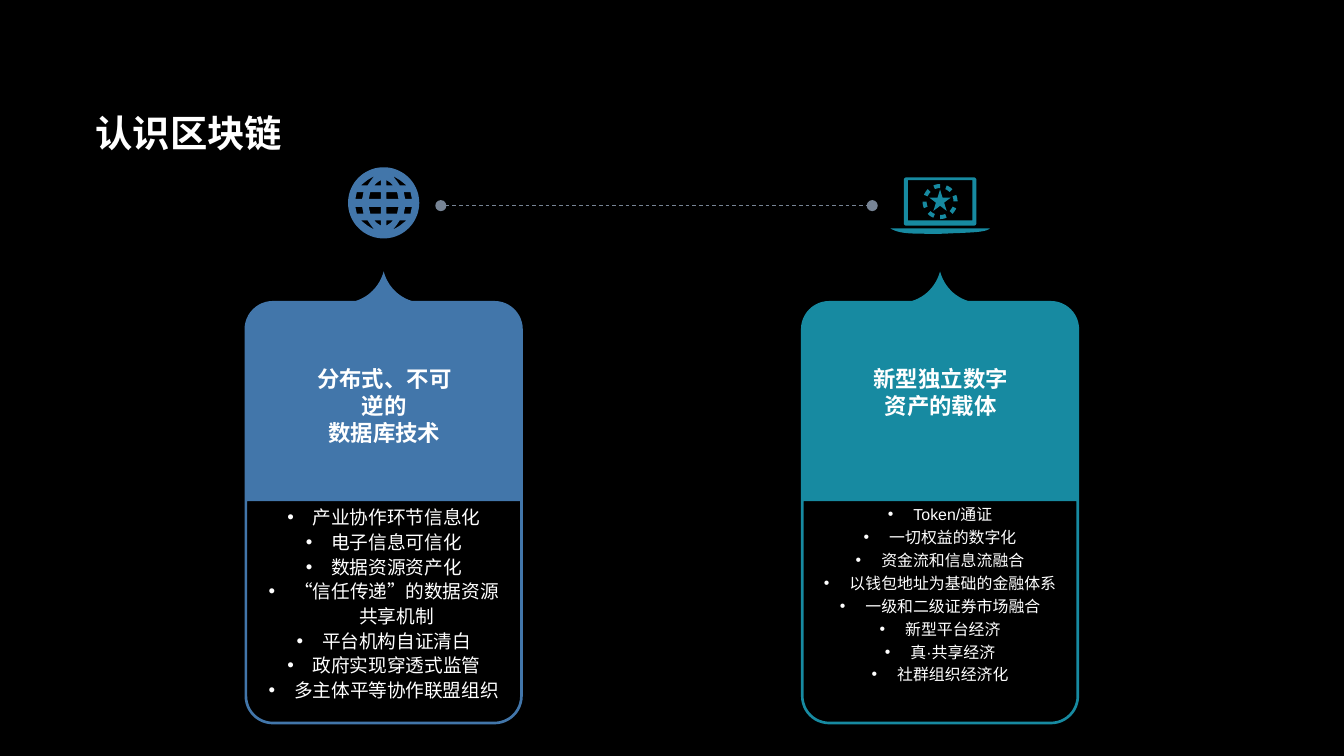
import math
from dataclasses import dataclass

import pptx
import pptx.dml.color
import pptx.enum.dml
import pptx.enum.shapes
import pptx.enum.text
import pptx.oxml.ns
import pptx.util
from lxml import etree

Inches = pptx.util.Inches
Pt = pptx.util.Pt
qn = pptx.oxml.ns.qn
Point = tuple[float, float]
Ring = list[Point]

WHITE, BLUE, TEAL, GREY = "FFFFFF", "4276AA", "178AA1", "778495"
WIDE, TOP, END, SPLIT = 2.07, 2.24, 5.39, 3.73
CENTER = pptx.enum.text.PP_ALIGN.CENTER


@dataclass
class Card:
    left: float
    color: str
    head: str
    items: list[str]
    size: float
    space: float
    drop: float

    @property
    def mid(self) -> float:
        return self.left + WIDE / 2


CARDS = [
    Card(1.82, BLUE, "分布式、不可逆的\n数据库技术",
         ["产业协作环节信息化", "电子信息可信化", "数据资源资产化",
          "“信任传递”的数据资源共享机制", "平台机构自证清白",
          "政府实现穿透式监管", "多主体平等协作联盟组织"], 10, 1.1, 1.73),
    Card(5.96, TEAL, "新型独立数字\n资产的载体",
         ["Token/通证", "一切权益的数字化", "资金流和信息流融合",
          "以钱包地址为基础的金融体系", "一级和二级证券市场融合",
          "新型平台经济", "真·共享经济", "社群组织经济化"], 8.5, 1.2, 1.71),
]

# Upper right quarter of the globe's windows, measured from its centre
PANES: list[Ring] = [
    [(0.02, -0.08), (0.1, -0.08), (0.11, -0.03), (0.02, -0.03)],
    [(0.15, -0.08), (0.2, -0.08), (0.21, -0.03), (0.16, -0.03)],
    [(0.02, -0.17), (0.05, -0.15), (0.07, -0.13), (0.02, -0.13)],
    [(0.07, -0.2), (0.12, -0.17), (0.17, -0.13), (0.12, -0.13), (0.1, -0.16)],
]


def rgb(code: str) -> pptx.dml.color.RGBColor:
    return pptx.dml.color.RGBColor.from_string(code)


def arc(x: float, y: float, r: float, start: float, end: float,
        steps: int = 12) -> Ring:
    """Points on a circle, in degrees clockwise from the right."""
    turns = [math.radians(start + (end - start) * i / steps)
             for i in range(steps + 1)]
    return [(x + r * math.cos(t), y + r * math.sin(t)) for t in turns]


def curve(a: Point, b: Point, c: Point, d: Point, steps: int = 12) -> Ring:
    """Points on a cubic Bezier curve."""
    ring = []
    for i in range(steps + 1):
        t = i / steps
        parts = ((1 - t) ** 3, 3 * t * (1 - t) ** 2, 3 * t * t * (1 - t), t ** 3)
        ring.append(tuple(sum(w * p[k] for w, p in zip(parts, (a, b, c, d)))
                          for k in (0, 1)))
    return ring


def base(x1: float, x2: float, y: float, r: float) -> Ring:
    """Two rounded lower corners, right to left."""
    return arc(x2 - r, y - r, r, 0, 90) + arc(x1 + r, y - r, r, 90, 180)


def crown(x1: float, x2: float, y: float, r: float) -> tuple[Ring, Ring]:
    """The rounded upper corners, left and right."""
    return arc(x1 + r, y + r, r, 180, 270), arc(x2 - r, y + r, r, 270, 360)


def paint(shape, color: str) -> None:
    shape.shadow.inherit = False
    shape.fill.solid()
    shape.fill.fore_color.rgb = rgb(color)
    shape.line.fill.background()


def draw(shapes, rings: list[Ring], color: str):
    """Fill the first ring; later rings are holes."""
    first, *holes = [[(Inches(x), Inches(y)) for x, y in ring] for ring in rings]
    pen = shapes.build_freeform(*first[0])
    pen.add_line_segments(first[1:], close=True)
    for hole in holes:
        pen.move_to(*hole[0])
        pen.add_line_segments(hole[1:], close=True)
    shape = pen.convert_to_shape()
    paint(shape, color)
    return shape


def style(para, size: float, bold: bool = False) -> None:
    for run in para.runs:
        run.font.name = "Arial"
        run.font.size = Pt(size)
        run.font.bold = bold
        run.font.color.rgb = rgb(WHITE)


def inset(frame, left: float, top: float, right: float, low: float) -> None:
    frame.margin_left, frame.margin_top = Inches(left), Inches(top)
    frame.margin_right, frame.margin_bottom = Inches(right), Inches(low)


def bullet(para) -> None:
    props = para._p.get_or_add_pPr()
    props.set("marL", str(Inches(0.19)))
    props.set("indent", str(-Inches(0.19)))
    etree.SubElement(props, qn("a:buFont")).set("typeface", "Arial")
    etree.SubElement(props, qn("a:buChar")).set("char", "•")


def add_card(shapes, card: Card) -> None:
    x1, x2, mid = card.left, card.left + WIDE, card.mid
    left, right = crown(x1, x2, TOP, 0.21)
    tip = 2.02
    rise = curve((mid - 0.21, TOP), (mid - 0.11, 2.21), (mid - 0.03, 2.13), (mid, tip))
    fall = [(2 * mid - x, y) for x, y in reversed(rise)]
    rim = 0.02
    hole = [(x1 + rim, SPLIT), (x2 - rim, SPLIT)] + base(x1 + rim, x2 - rim, END - rim, 0.19)
    shape = draw(shapes, [left + rise + fall + right + base(x1, x2, END, 0.21), hole],
                 card.color)

    frame = shape.text_frame
    frame.word_wrap = True
    frame.vertical_anchor = pptx.enum.text.MSO_ANCHOR.TOP
    inset(frame, 0.12, card.drop, 0.12, 0.05)
    frame.text = "\n".join(card.items)
    for para in frame.paragraphs:
        bullet(para)
        para.alignment = CENTER
        para.line_spacing = card.space
        style(para, card.size)


def add_head(shapes, card: Card) -> None:
    box = shapes.add_textbox(Inches(card.mid - 0.65), Inches(2.67), Inches(1.31), Inches(0.78))
    frame = box.text_frame
    frame.word_wrap = False
    frame.auto_size = pptx.enum.text.MSO_AUTO_SIZE.SHAPE_TO_FIT_TEXT
    frame.text = card.head
    for para in frame.paragraphs:
        para.alignment = CENTER
        style(para, 12, True)


def add_globe(shapes, x: float, y: float) -> None:
    panes = [[(x + sx * px, y + sy * py) for px, py in pane]
             for pane in PANES for sx in (1, -1) for sy in (1, -1)]
    draw(shapes, [arc(x, y, 0.53 / 2, 0, 360, 72)] + panes, BLUE)


def add_laptop(shapes, x: float, y: float) -> None:
    group = shapes.add_group_shape().shapes
    foot = 1.7
    draw(group, [curve((x - 0.37, foot), (x - 0.3, 1.74), (x - 0.24, 1.74), (x, 1.74))
                 + curve((x, 1.74), (x + 0.24, 1.73), (x + 0.34, 1.73), (x + 0.37, foot))],
         TEAL)
    left, right = crown(x - 0.27, x + 0.27, 1.32, 0.02)
    screen = [(x - 0.24, 1.34), (x + 0.24, 1.34), (x + 0.24, 1.64), (x - 0.24, 1.64)]
    draw(group, [left + right + base(x - 0.27, x + 0.27, 1.68, 0.02), screen], TEAL)
    for k in range(8):
        start = 22.5 + 45 * k
        draw(group, [arc(x, y, 0.13, start, start + 22.5)
                     + arc(x, y, 0.1, start + 22.5, start)], TEAL)
    star = group.add_shape(pptx.enum.shapes.MSO_SHAPE.STAR_5_POINT, Inches(x - 0.08),
                           Inches(y - 0.09), Inches(0.16), Inches(0.16))
    paint(star, TEAL)


def add_link(shapes, x1: float, x2: float, y: float) -> None:
    link = shapes.add_connector(pptx.enum.shapes.MSO_CONNECTOR.STRAIGHT,
                                Inches(x1), Inches(y), Inches(x2), Inches(y))
    link.line.color.rgb = rgb(GREY)
    link.line.width = Pt(0.5)
    link.line.dash_style = pptx.enum.dml.MSO_LINE.DASH
    for end in ("a:headEnd", "a:tailEnd"):
        etree.SubElement(link.line._get_or_add_ln(), qn(end)).set("type", "oval")
    etree.SubElement(link._element.spPr, qn("a:effectLst"))


def set_title(title, text: str) -> None:
    title.left, title.top = Inches(0.68), Inches(0.77)
    title.width, title.height = Inches(5.68), Inches(0.48)
    frame = title.text_frame
    frame.text = text
    frame.word_wrap = True
    frame.auto_size = pptx.enum.text.MSO_AUTO_SIZE.NONE
    frame.vertical_anchor = pptx.enum.text.MSO_ANCHOR.MIDDLE
    inset(frame, 0.03, 0.02, 0.03, 0.02)
    para = frame.paragraphs[0]
    para.alignment = pptx.enum.text.PP_ALIGN.LEFT
    para.line_spacing = 0.9
    style(para, 20, True)


def main() -> None:
    deck = pptx.Presentation()
    deck.slide_width, deck.slide_height = Inches(10), Inches(10 * 9 / 16)
    slide = deck.slides.add_slide(deck.slide_layouts[5])
    slide.background.fill.solid()
    slide.background.fill.fore_color.rgb = rgb("000000")
    set_title(slide.shapes.title, "认识区块链")
    add_link(slide.shapes, 3.28, 6.49, 1.53)
    for card in CARDS:
        add_card(slide.shapes, card)
        add_head(slide.shapes, card)
    add_globe(slide.shapes, CARDS[0].mid, 1.51)
    add_laptop(slide.shapes, CARDS[1].mid, 1.5)
    deck.save("out.pptx")


if __name__ == "__main__":
    main()
